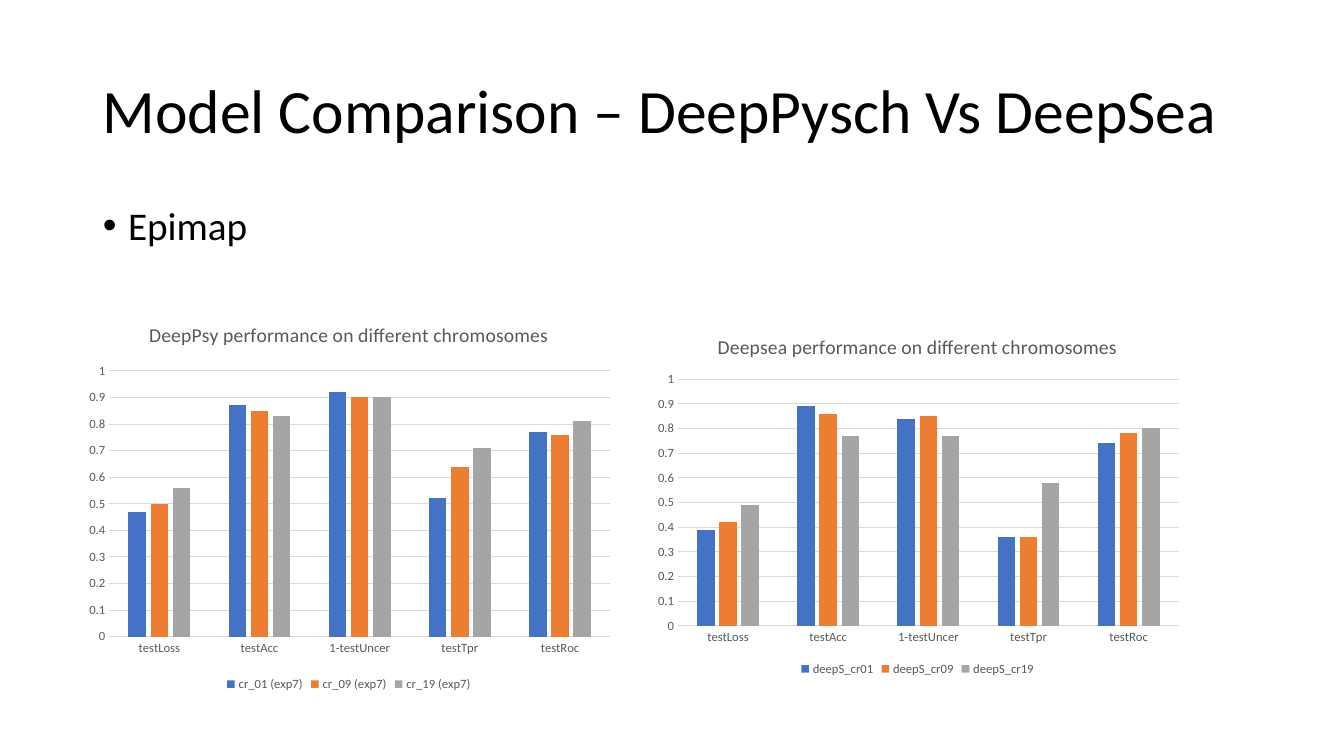
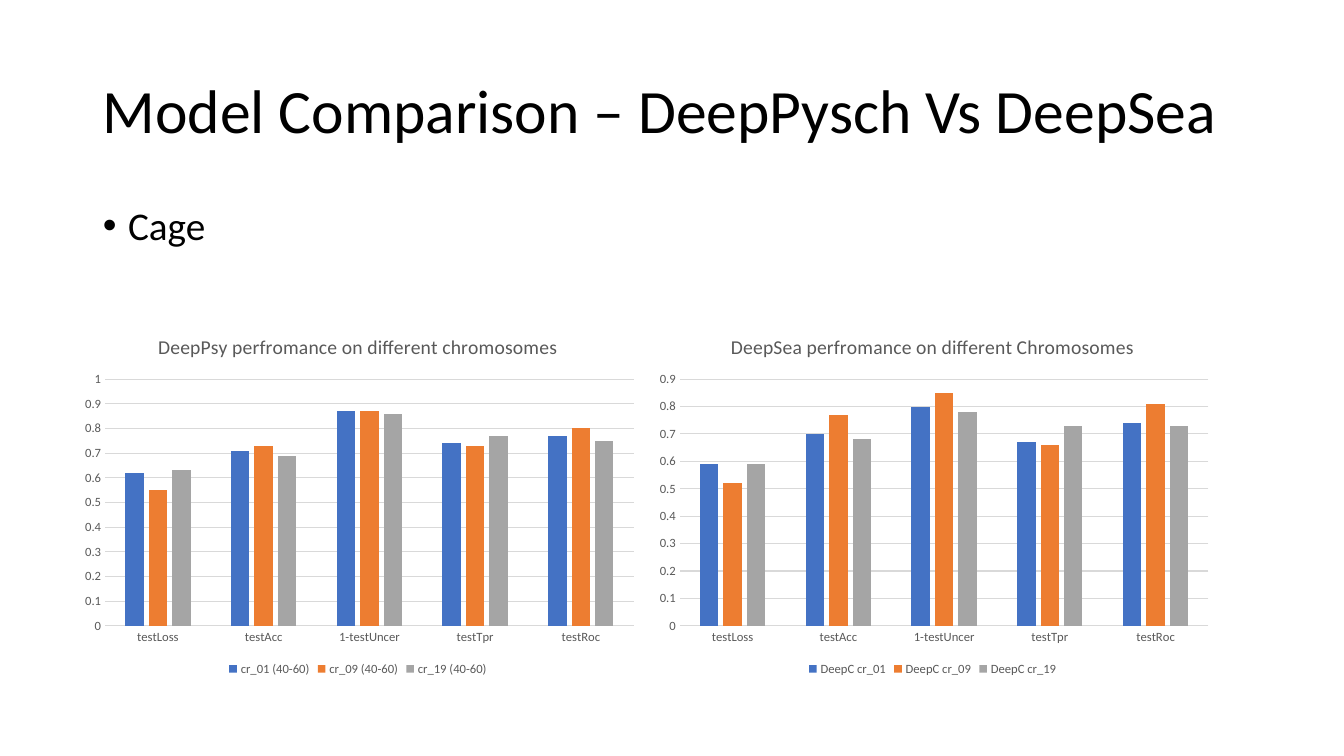
from lxml import etree
from pptx import Presentation
from pptx.chart.data import CategoryChartData
from pptx.dml.color import RGBColor
from pptx.enum.chart import XL_CHART_TYPE, XL_LEGEND_POSITION, XL_TICK_MARK
from pptx.enum.text import MSO_ANCHOR, MSO_AUTO_SIZE, PP_ALIGN
from pptx.oxml.ns import qn
from pptx.util import Inches, Pt

CLUSTERED = XL_CHART_TYPE.COLUMN_CLUSTERED
LEGEND_BOTTOM = XL_LEGEND_POSITION.BOTTOM
NO_TICK = XL_TICK_MARK.NONE
LEFT = PP_ALIGN.LEFT
MIDDLE, TOP = MSO_ANCHOR.MIDDLE, MSO_ANCHOR.TOP
NO_FIT = MSO_AUTO_SIZE.NONE

FONT = "Calibri"
BLACK, GREY, RULE = "000000", "595959", "D9D9D9"
SERIES_COLOURS = ("4472C4", "ED7D31", "A5A5A5")

SLIDE_SIZE = (13.33, 7.5)
TITLE_AREA = (0.92, 0.4, 11.5, 1.45)
BODY_AREA = (0.92, 2, 11.5, 4.76)
PLOT_SHARES = {"x": 0.06, "y": 0.17, "w": 0.92, "h": 0.68}
RIGHT_COLUMN, CHART_TOP, CHART_HEIGHT = 6.4, 3.15, 3.6

HEADING = "Model Comparison – DeepPysch Vs DeepSea"
METRICS = ("testLoss", "testAcc", "1-testUncer", "testTpr", "testRoc")

# Each chart: title, area, top of the value scale, series
COMPARISONS = {
    "Epimap": (
        ("DeepPsy performance on different chromosomes",
         (0.76, 3.02, 5.4, 3.88), 1, {
             "cr_01 (exp7)": (0.47, 0.87, 0.92, 0.52, 0.77),
             "cr_09 (exp7)": (0.5, 0.85, 0.9, 0.64, 0.76),
             "cr_19 (exp7)": (0.56, 0.83, 0.9, 0.71, 0.81)}),
        ("Deepsea performance on different chromosomes",
         (RIGHT_COLUMN, CHART_TOP, 5.4, CHART_HEIGHT), 1, {
             "deepS_cr01": (0.39, 0.89, 0.84, 0.36, 0.74),
             "deepS_cr09": (0.42, 0.86, 0.85, 0.36, 0.78),
             "deepS_cr19": (0.49, 0.77, 0.77, 0.58, 0.8)}),
    ),
    "Cage": (
        ("DeepPsy perfromance on different chromosomes",
         (0.7, CHART_TOP, 5.7, CHART_HEIGHT), 1, {
             "cr_01 (40-60)": (0.62, 0.71, 0.87, 0.74, 0.77),
             "cr_09 (40-60)": (0.55, 0.73, 0.87, 0.73, 0.8),
             "cr_19 (40-60)": (0.63, 0.69, 0.86, 0.77, 0.75)}),
        ("DeepSea perfromance on different Chromosomes",
         (RIGHT_COLUMN, CHART_TOP, 5.7, CHART_HEIGHT), 0.9, {
             "DeepC cr_01": (0.59, 0.7, 0.8, 0.67, 0.74),
             "DeepC cr_09": (0.52, 0.77, 0.85, 0.66, 0.81),
             "DeepC cr_19": (0.59, 0.68, 0.78, 0.73, 0.73)}),
    ),
}


def rgb(colour):
    return RGBColor.from_string(colour)


def inches(lengths):
    return [Inches(length) for length in lengths]


def style_font(font, size, colour):
    font.name, font.size, font.bold = FONT, Pt(size), False
    font.color.rgb = rgb(colour)


def write_text(frame, text, *, size, colour=BLACK, anchor=None, bullet=None):
    """Fill a text frame with one paragraph, bulleted on request."""
    frame.text = text
    if anchor is not None:
        frame.word_wrap, frame.auto_size = True, NO_FIT
        frame.vertical_anchor = anchor
    paragraph = frame.paragraphs[0]
    if bullet:
        properties = paragraph._p.get_or_add_pPr()
        hanging = Inches(0.25)
        properties.set("marL", str(hanging))
        properties.set("indent", str(-hanging))
        etree.SubElement(properties, qn("a:buChar")).set("char", bullet)
    if anchor is not None:
        paragraph.alignment = LEFT
        paragraph.line_spacing, paragraph.space_before = 0.9, Pt(0)
    style_font(paragraph.runs[0].font, size, colour)


def place(shape, area):
    shape.left, shape.top, shape.width, shape.height = inches(area)


def set_plot_area(chart):
    """Fix the inner plot area as shares of the chart."""
    plot_area = chart.element.find(".//" + qn("c:plotArea"))
    for old in plot_area.findall(qn("c:layout")):
        plot_area.remove(old)
    layout = etree.Element(qn("c:layout"))
    manual = etree.SubElement(layout, qn("c:manualLayout"))
    settings = {"layoutTarget": "inner", "xMode": "edge", "yMode": "edge",
                **PLOT_SHARES}
    for tag, value in settings.items():
        etree.SubElement(manual, qn("c:" + tag)).set("val", str(value))
    plot_area.insert(0, layout)


def style_axis(axis):
    axis.major_tick_mark = axis.minor_tick_mark = NO_TICK
    style_font(axis.tick_labels.font, 9, GREY)


def style_rule(line):
    line.color.rgb = rgb(RULE)
    line.width = Pt(0.75)


def add_metrics_chart(slide, title, area, scale_top, series):
    data = CategoryChartData()
    data.categories = METRICS
    for name, values in series.items():
        data.add_series(name, values)
    chart = slide.shapes.add_chart(CLUSTERED, *inches(area), data).chart
    style_font(chart.font, 10, BLACK)
    write_text(chart.chart_title.text_frame, title, size=14, colour=GREY)
    chart.chart_title.include_in_layout = False

    chart.has_legend = True
    chart.legend.position = LEGEND_BOTTOM
    chart.legend.include_in_layout = False
    style_font(chart.legend.font, 9, GREY)

    style_axis(chart.category_axis)
    style_rule(chart.category_axis.format.line)
    scale = chart.value_axis
    style_axis(scale)
    scale.minimum_scale, scale.maximum_scale, scale.major_unit = 0, scale_top, 0.1
    scale.format.line.fill.background()
    style_rule(scale.major_gridlines.format.line)

    plot = chart.plots[0]
    plot.gap_width, plot.overlap, plot.vary_by_categories = 219, -27, False
    for bars, colour in zip(plot.series, SERIES_COLOURS):
        bars.format.fill.solid()
        bars.format.fill.fore_color.rgb = rgb(colour)
    set_plot_area(chart)


def add_comparison_slide(deck, layout, assay, charts):
    slide = deck.slides.add_slide(layout)
    heading, body = slide.placeholders
    write_text(heading.text_frame, HEADING, size=44, anchor=MIDDLE)
    write_text(body.text_frame, assay, size=28, anchor=TOP, bullet="•")
    for chart in charts:
        add_metrics_chart(slide, *chart)


def main():
    deck = Presentation()
    deck.slide_width, deck.slide_height = inches(SLIDE_SIZE)
    layout = deck.slide_layouts[1]
    for placeholder, area in zip(layout.placeholders, (TITLE_AREA, BODY_AREA)):
        place(placeholder, area)
    for assay, charts in COMPARISONS.items():
        add_comparison_slide(deck, layout, assay, charts)
    deck.save("out.pptx")


if __name__ == "__main__":
    main()
